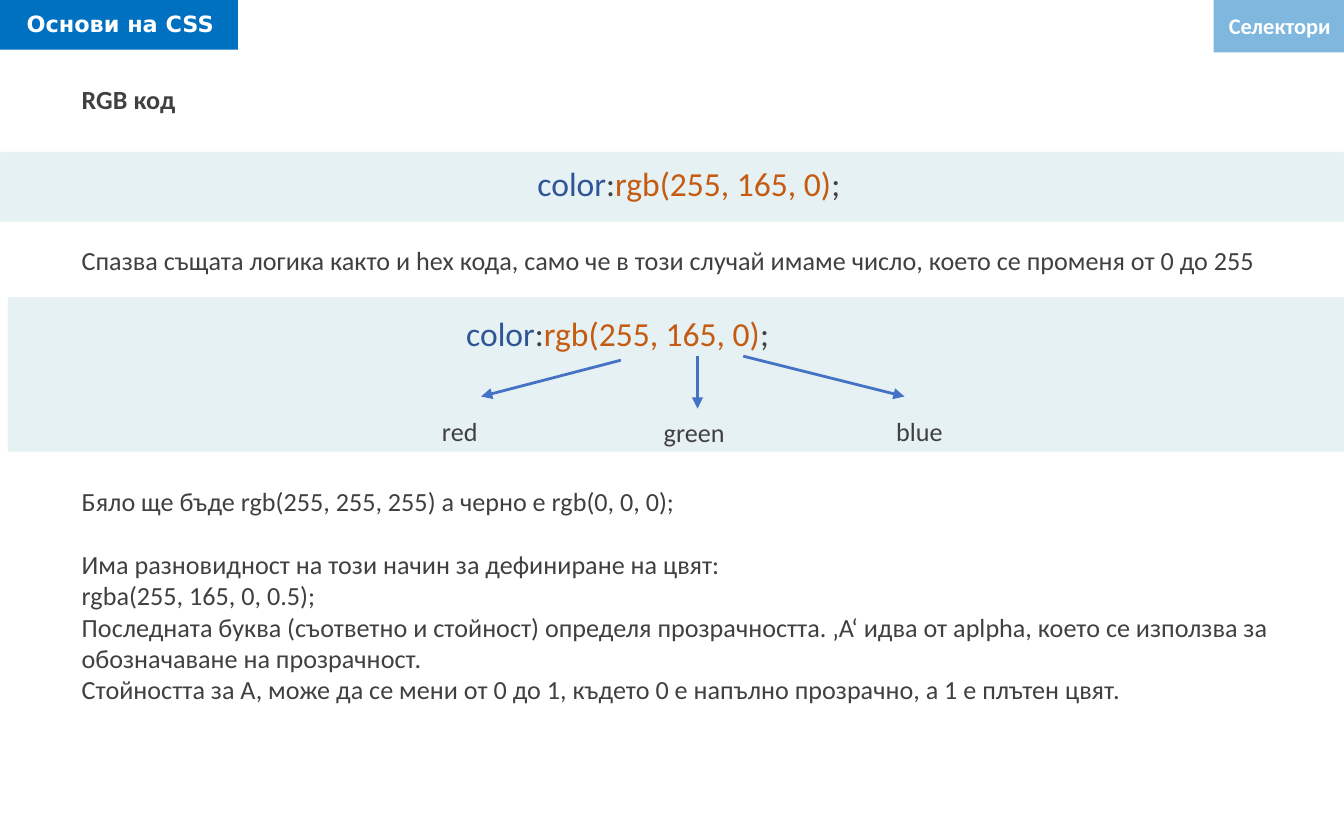
from typing import NamedTuple

from lxml import etree
from pptx import Presentation
from pptx.dml.color import RGBColor
from pptx.enum.shapes import MSO_CONNECTOR, MSO_SHAPE
from pptx.enum.text import PP_ALIGN
from pptx.oxml.ns import qn
from pptx.util import Inches, Pt

RECT = MSO_SHAPE.RECTANGLE
STRAIGHT = MSO_CONNECTOR.STRAIGHT
LEFT, RIGHT = PP_ALIGN.LEFT, PP_ALIGN.RIGHT

# Square grid: 100 columns by 62.5 rows on a 10 x 6.25 inch slide
COLS, ROWS = 100, 62.5
CELL = Inches(10) / COLS

WHITE, TEXT, BLUE = "FFFFFF", "404040", "0070C0"
PROPERTY, VALUE = "2F5597", "C55A11"
BAND, BAND_EDGE, ARROW = "127994", "F8F8F8", "4472C4"
MARGIN, BODY_W, LINE_H = 5.1, 90.6, 3.4


class Box(NamedTuple):
    col: float
    row: float
    cols: float
    rows: float


class Run(NamedTuple):
    text: str
    color: str = TEXT


class Channel(NamedTuple):
    name: str
    label: Box
    start: tuple[float, float]
    end: tuple[float, float]


CODE = [Run("color", PROPERTY), Run(":"), Run("rgb(255, 165, 0)", VALUE), Run(";")]
BANDS = [Box(0, 11.3, COLS, 5.2), Box(0.6, 22.1, COLS - 0.6, 11.5)]
CODE_BOXES = [Box(39, 11.6, 24.8, 4), Box(33.7, 22.8, 24.8, 4)]
CHANNELS = [
    Channel("red", Box(31.9, 30.4, 4.8, LINE_H), (46.2, 26.8), (35.8, 29.5)),
    Channel("green", Box(48.4, 30.5, 7.5, LINE_H), (51.9, 26.5), (51.9, 30.4)),
    Channel("blue", Box(65.7, 30.4, 6.3, LINE_H), (55.3, 26.5), (67.3, 29.5)),
]
INTRO = ("Спазва същата логика както и hex кода, само че в този случай "
         "имаме число, което се променя от 0 до 255")
WHITE_BLACK = "Бяло ще бъде rgb(255, 255, 255) а черно е rgb(0, 0, 0);"
RGBA = [
    "Има разновидност на този начин за дефиниране на цвят:",
    "rgba(255, 165, 0, 0.5);",
    "Последната буква (съответно и стойност) определя прозрачността. "
    "‚А‘ идва от aplpha, което се използва за обозначаване на прозрачност. \v"
    "Стойността за А, може да се мени от 0 до 1, където 0 е напълно прозрачно, "
    "а 1 е плътен цвят.",
]


def grid(*cells: float) -> list[int]:
    return [round(c * CELL) for c in cells]


def paint(color_format, color: str, opacity: int = 100) -> None:
    """Set a solid fill's colour, with its opacity in percent."""
    color_format.rgb = RGBColor.from_string(color)
    if opacity < 100:
        clr = color_format._xFill.find(qn("a:srgbClr"))
        etree.SubElement(clr, qn("a:alpha"), val=str(opacity * 1000))


def add_rect(slide, box: Box, color: str, opacity: int = 100, edge: str | None = None) -> None:
    s = slide.shapes.add_shape(RECT, *grid(*box))
    s.shadow.inherit = False
    s.fill.solid()
    paint(s.fill.fore_color, color, opacity)
    if edge:
        s.line.width = Pt(1)
        s.line.fill.solid()
        paint(s.line.fill.fore_color, edge, 16)
    else:
        s.line.fill.background()


def add_text(slide, box: Box, paragraphs: list[list[Run]], *, size: float = 14,
             font: str = "Calibri", bold: bool = False, align=LEFT,
             wrap: bool = True, gap_after_first: float = 0) -> None:
    tf = slide.shapes.add_textbox(*grid(*box)).text_frame
    tf.word_wrap = wrap
    for i, runs in enumerate(paragraphs):
        p = tf.paragraphs[0] if i == 0 else tf.add_paragraph()
        p.alignment = align
        if i == 1:
            p.space_before = Pt(gap_after_first)
        for run in runs:
            for j, part in enumerate(run.text.split("\v")):
                if j:
                    p.add_line_break()
                r = p.add_run()
                r.text = part
                r.font.name, r.font.size, r.font.bold = font, Pt(size), bold
                r.font.color.rgb = RGBColor.from_string(run.color)


def add_arrow(slide, start: tuple[float, float], end: tuple[float, float]) -> None:
    s = slide.shapes.add_connector(STRAIGHT, *grid(*start, *end))
    s.line.width = Pt(1.5)
    s.line.color.rgb = RGBColor.from_string(ARROW)
    etree.SubElement(s.line._get_or_add_ln(), qn("a:tailEnd"), type="triangle")
    etree.SubElement(s._element.spPr, qn("a:effectLst"))


def main() -> None:
    prs = Presentation()
    prs.slide_width, prs.slide_height = grid(COLS, ROWS)
    slide = prs.slides.add_slide(prs.slide_layouts[6])

    add_rect(slide, Box(0, 0, 17.7, 3.7), BLUE)
    add_text(slide, Box(1, 0.3, 16.7, 3), [[Run("Основи на CSS", WHITE)]],
             size=12, font="DejaVu Sans", bold=True)
    add_rect(slide, Box(90.3, 0, 9.7, 3.9), BLUE, opacity=50)
    add_text(slide, Box(90.3, 0.4, 9.7, 3), [[Run("Селектори", WHITE)]],
             size=12, bold=True, align=RIGHT, wrap=False)

    add_text(slide, Box(MARGIN, 5.7, BODY_W, LINE_H), [[Run("RGB код")]], bold=True)
    for band, code_box in zip(BANDS, CODE_BOXES):
        add_rect(slide, band, BAND, opacity=10, edge=BAND_EDGE)
        add_text(slide, code_box, [CODE], size=18, wrap=False)
    add_text(slide, Box(MARGIN, 17.7, BODY_W, LINE_H), [[Run(INTRO)]])

    for channel in CHANNELS:
        add_arrow(slide, channel.start, channel.end)
        add_text(slide, channel.label, [[Run(channel.name)]])

    add_text(slide, Box(MARGIN, 35.6, BODY_W, 17.5),
             [[Run(t)] for t in (WHITE_BLACK, *RGBA)], gap_after_first=17)

    prs.save("out.pptx")


if __name__ == "__main__":
    main()
